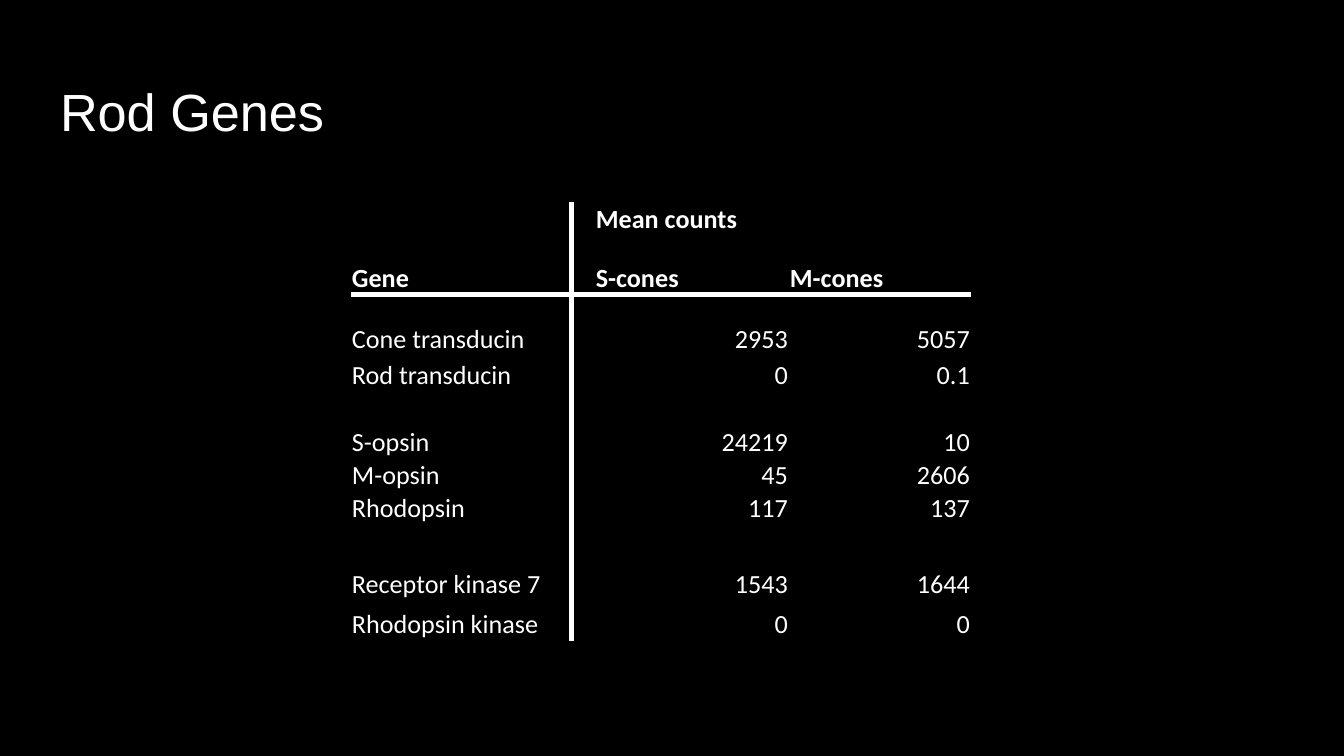
import dataclasses

import pptx
import pptx.dml.color
import pptx.enum.text
import pptx.oxml.ns
import pptx.util
from lxml import etree

PX = 914400 / 134.4
NO_GRID_STYLE = "{2D5ABB26-0587-4C30-8999-92F81FD0307C}"

COLUMN_WIDTHS = [209, 12, 23, 194, 182]
ROW_HEIGHTS = [33, 60, 61, 36, 34, 33, 33, 33, 33, 43, 40]
ROWS = [
    ["", "", "", "Mean counts", ""],
    ["Gene", "", "", "S-cones", "M-cones"],
    ["Cone transducin", "", "", "2953", "5057"],
    ["Rod transducin", "", "", "0", "0.1"],
    ["", "", "", "", ""],
    ["S-opsin", "", "", "24219", "10"],
    ["M-opsin", "", "", "45", "2606"],
    ["Rhodopsin", "", "", "117", "137"],
    ["", "", "", "", ""],
    ["Receptor kinase 7", "", "", "1543", "1644"],
    ["Rhodopsin kinase", "", "", "0", "0"],
]
HEADER_ROWS = 2
RULE_COLUMN = 2
FIRST_COUNT_COLUMN = 3


@dataclasses.dataclass(frozen=True)
class Theme:
    background: str = "000000"
    foreground: str = "FFFFFF"
    title_font: str = "Arial"
    table_font: str = "Calibri"
    title_size: int = 28
    table_size: int = 14
    rule_width: int = 3


THEME = Theme()


def px(value):
    return pptx.util.Emu(round(value * PX))


def color(value):
    return pptx.dml.color.RGBColor.from_string(value)


def add_run(paragraph, text, font_name, size, bold=False):
    run = paragraph.add_run()
    run.text = text
    run.font.name = font_name
    run.font.size = pptx.util.Pt(size)
    run.font.bold = bold
    run.font.color.rgb = color(THEME.foreground)


def set_title(slide, text):
    title = slide.shapes.title
    title.left, title.top, title.width, title.height = map(px, (46, 66, 1253, 85))
    frame = title.text_frame
    frame.word_wrap = True
    frame.auto_size = pptx.enum.text.MSO_AUTO_SIZE.NONE
    frame.vertical_anchor = pptx.enum.text.MSO_ANCHOR.TOP
    frame.margin_left = frame.margin_right = px(14)
    frame.margin_top = frame.margin_bottom = px(13)
    paragraph = frame.paragraphs[0]
    paragraph.alignment = pptx.enum.text.PP_ALIGN.LEFT
    add_run(paragraph, text, THEME.title_font, THEME.title_size)


def add_border(cell, side, visible):
    properties = cell._tc.get_or_add_tcPr()
    line = etree.SubElement(properties, pptx.oxml.ns.qn("a:ln" + side))
    if visible:
        line.set("w", str(pptx.util.Pt(THEME.rule_width)))
        fill = etree.SubElement(line, pptx.oxml.ns.qn("a:solidFill"))
        etree.SubElement(fill, pptx.oxml.ns.qn("a:srgbClr")).set("val", THEME.foreground)
    else:
        etree.SubElement(line, pptx.oxml.ns.qn("a:noFill"))


def draw_rules(cell, row, column):
    add_border(cell, "L", column == RULE_COLUMN)
    add_border(cell, "R", column == RULE_COLUMN - 1)
    add_border(cell, "T", row == HEADER_ROWS)
    add_border(cell, "B", row == HEADER_ROWS - 1)


def fill_cell(cell, text, row, column):
    cell.margin_left = cell.margin_right = cell.margin_top = px(1)
    cell.margin_bottom = px(0)
    cell.vertical_anchor = pptx.enum.text.MSO_ANCHOR.BOTTOM
    draw_rules(cell, row, column)
    cell.fill.background()
    paragraph = cell.text_frame.paragraphs[0]
    header = row < HEADER_ROWS
    if text:
        numeric = column >= FIRST_COUNT_COLUMN and not header
        align = pptx.enum.text.PP_ALIGN
        paragraph.alignment = align.RIGHT if numeric else align.LEFT
        add_run(paragraph, text, THEME.table_font, THEME.table_size, header)
    else:
        end = etree.SubElement(paragraph._p, pptx.oxml.ns.qn("a:endParaRPr"))
        end.set("sz", str(THEME.table_size * 100))


def add_gene_table(slide):
    frame = slide.shapes.add_table(
        len(ROWS), len(COLUMN_WIDTHS), px(351), px(202),
        px(sum(COLUMN_WIDTHS)), px(sum(ROW_HEIGHTS)),
    )
    table = frame.table
    table.first_row = table.horz_banding = False
    table._tbl.tblPr.find(pptx.oxml.ns.qn("a:tableStyleId")).text = NO_GRID_STYLE
    for column, width in zip(table.columns, COLUMN_WIDTHS):
        column.width = px(width)
    for row, height in zip(table.rows, ROW_HEIGHTS):
        row.height = px(height)
    for row, texts in enumerate(ROWS):
        for column, text in enumerate(texts):
            fill_cell(table.cell(row, column), text, row, column)
    table.cell(0, FIRST_COUNT_COLUMN).merge(table.cell(0, FIRST_COUNT_COLUMN + 1))


def main():
    presentation = pptx.Presentation()
    presentation.slide_width, presentation.slide_height = px(1344), px(756)
    slide = presentation.slides.add_slide(presentation.slide_layouts[5])
    slide.background.fill.solid()
    slide.background.fill.fore_color.rgb = color(THEME.background)
    set_title(slide, "Rod Genes")
    add_gene_table(slide)
    presentation.save("out.pptx")


if __name__ == "__main__":
    main()
